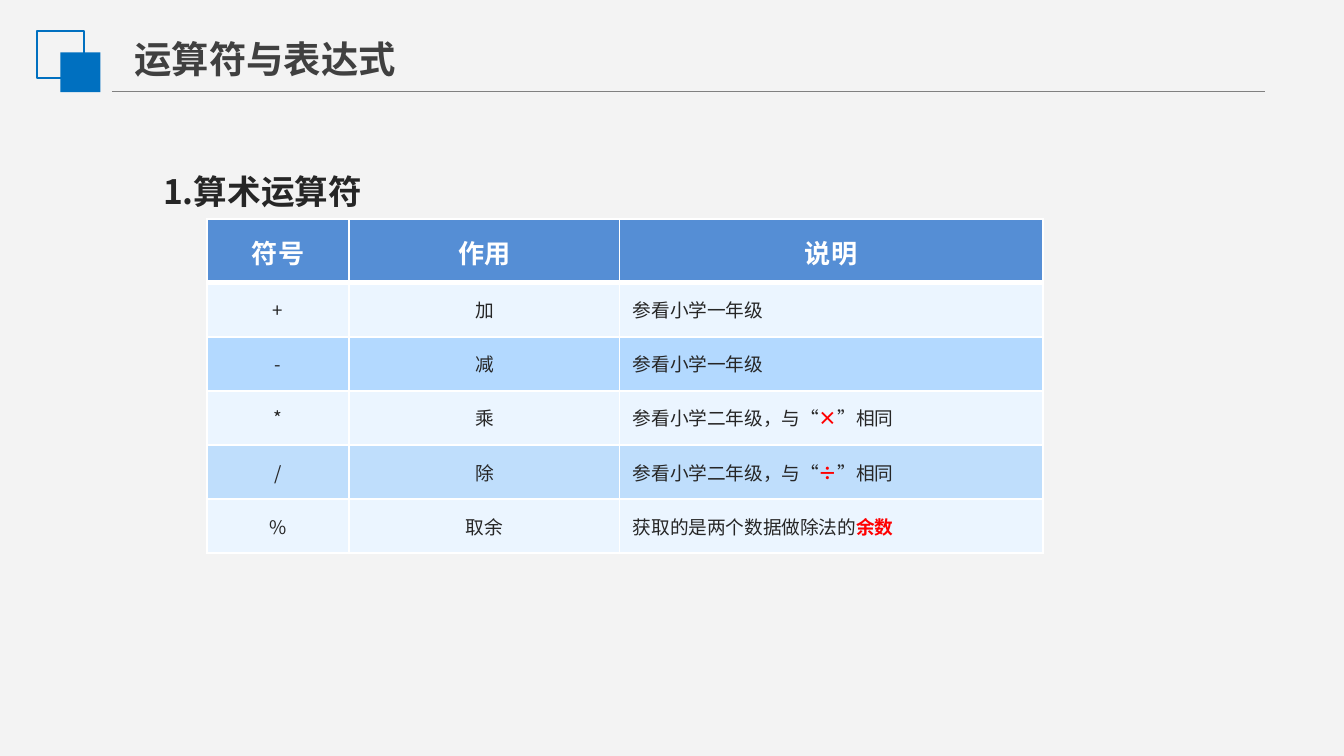
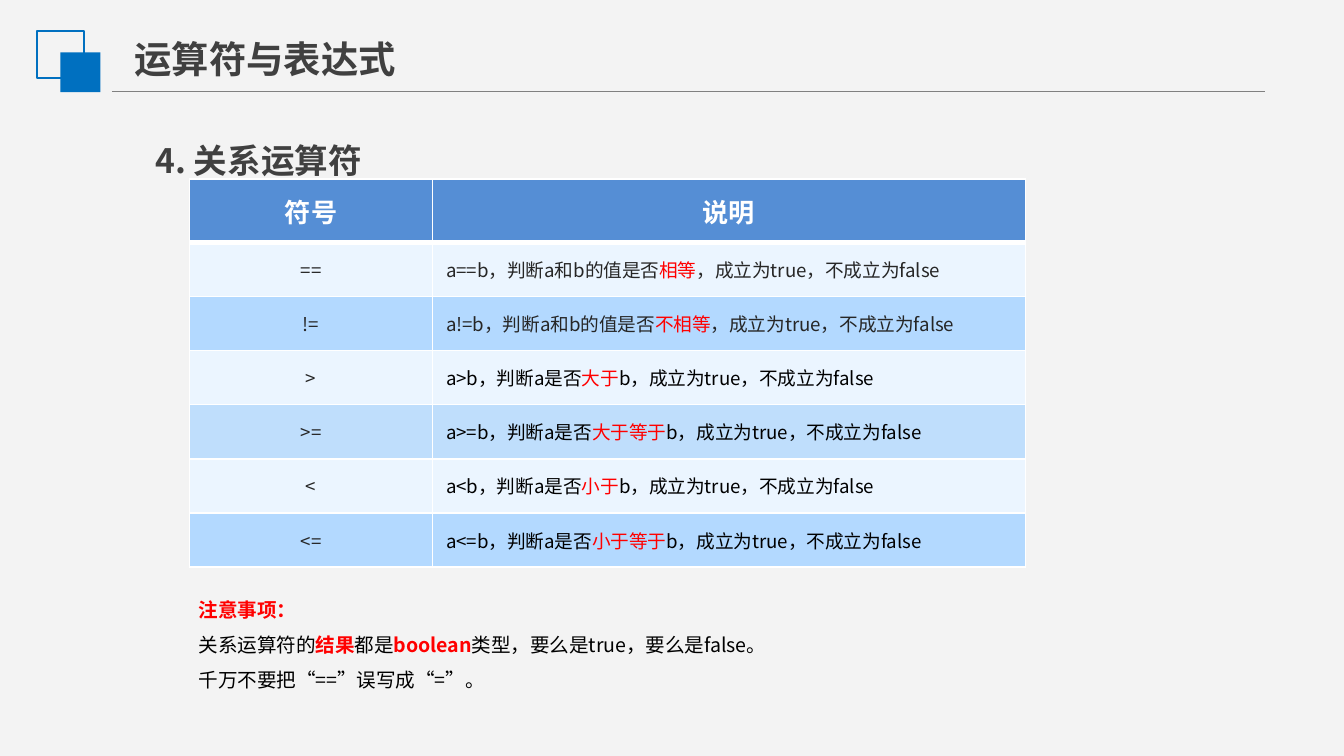
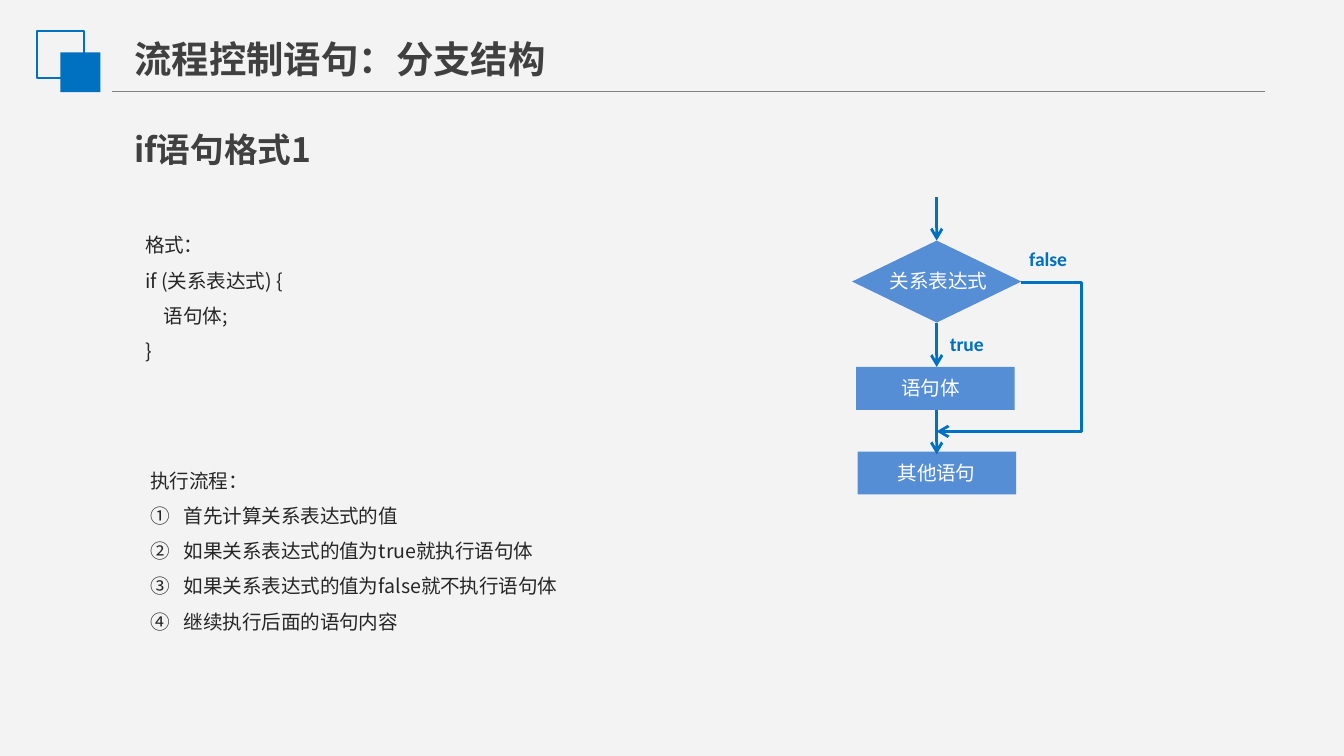
from lxml.etree import SubElement
from pptx import Presentation
from pptx.dml.color import RGBColor
from pptx.enum.shapes import MSO_CONNECTOR, MSO_SHAPE
from pptx.enum.text import MSO_ANCHOR, MSO_AUTO_SIZE, PP_ALIGN
from pptx.oxml.ns import qn
from pptx.util import Pt

PAPER = "F3F3F3"
BLUE = "0070C0"
SOFT_BLUE = "558ED5"
BANDS = ("B3D9FF", "EBF5FF")
WHITE = "FFFFFF"
BLACK = "000000"
GRAY = "808080"
TITLE_INK = "404040"
INK = "262626"
RED = "FF0000"
CJK = "Noto Sans CJK SC"
LATIN = "Calibri"


def color(value):
    return RGBColor.from_string(value)


def points(*lengths):
    return [Pt(length) for length in lengths]


def add_span(para, text, size, ink, bold=False, font=CJK):
    span = para.add_run()
    span.text = text
    span.font.size = Pt(size)
    span.font.bold = bold
    span.font.color.rgb = color(ink)
    span.font.name = font
    SubElement(span.font._element, qn("a:ea")).set("typeface", font)


def add_marked(para, text, size, ink, bold=False, mark_bold=True, font=CJK):
    for index, piece in enumerate(text.split("|")):
        if piece and index % 2:
            add_span(para, piece, size, RED, mark_bold, font)
        elif piece:
            add_span(para, piece, size, ink, bold, font)


def add_text(slide, place, lines, size, ink, bold=False, font=CJK,
             spacing=None, wrap=True, align=PP_ALIGN.LEFT):
    box = slide.shapes.add_textbox(*points(*place))
    frame = box.text_frame
    frame.word_wrap = wrap
    frame.auto_size = MSO_AUTO_SIZE.SHAPE_TO_FIT_TEXT
    for index, line in enumerate(lines):
        para = frame.add_paragraph() if index else frame.paragraphs[0]
        para.alignment = align
        if spacing:
            para.line_spacing = spacing
        add_marked(para, line, size, ink, bold, font=font)
    return frame.paragraphs


def indent(para, left, first=0):
    properties = para._p.get_or_add_pPr()
    properties.set("marL", str(Pt(left)))
    properties.set("indent", str(Pt(first)))
    return properties


def number(paras):
    for para in paras:
        properties = indent(para, 18, -18)
        SubElement(properties, qn("a:buAutoNum")).set("type", "circleNumDbPlain")


def add_block(slide, kind, place, fill=None, line=None):
    block = slide.shapes.add_shape(kind, *points(*place))
    block.shadow.inherit = False
    if fill:
        block.fill.solid()
        block.fill.fore_color.rgb = color(fill)
    else:
        block.fill.background()
    if line:
        block.line.color.rgb = color(line)
        block.line.width = Pt(1)
    else:
        block.line.fill.background()
    return block


def add_line(slide, start, end, ink=BLUE, width=1.5, arrow=True,
             kind=MSO_CONNECTOR.STRAIGHT):
    line = slide.shapes.add_connector(kind, *points(*start, *end))
    line.line.color.rgb = color(ink)
    line.line.width = Pt(width)
    if arrow:
        SubElement(line.line._get_or_add_ln(), qn("a:tailEnd")).set("type", "arrow")
    SubElement(line.element.spPr, qn("a:effectLst"))
    return line


def add_bypass(slide, start, end, reach):
    line = add_line(slide, start, end, kind=MSO_CONNECTOR.ELBOW)
    geometry = line.element.spPr.find(qn("a:prstGeom"))
    geometry.set("prst", "bentConnector4")
    guides = geometry.find(qn("a:avLst"))
    if guides is None:
        guides = SubElement(geometry, qn("a:avLst"))
    turn = round(100000 * (start[0] - reach) / (start[0] - end[0]))
    for name, value in (("adj1", turn), ("adj2", 100000)):
        guide = SubElement(guides, qn("a:gd"))
        guide.set("name", name)
        guide.set("fmla", f"val {value}")


def border_cell(cell, top, bottom):
    properties = cell._tc.get_or_add_tcPr()
    for side, width in (("L", 1), ("R", 1), ("T", top), ("B", bottom)):
        line = SubElement(properties, qn(f"a:ln{side}"))
        line.set("w", str(Pt(width)))
        fill = SubElement(line, qn("a:solidFill"))
        SubElement(fill, qn("a:srgbClr")).set("val", WHITE)


def fill_cell(cell, fill, opacity=100):
    cell.fill.solid()
    cell.fill.fore_color.rgb = color(fill)
    if opacity < 100:
        tint = cell._tc.tcPr.find(qn("a:solidFill")).find(qn("a:srgbClr"))
        SubElement(tint, qn("a:alpha")).set("val", str(opacity * 1000))


def add_grid(slide, left, top, widths, rows, mark_bold, black_from=99):
    heights = [34] + [29] * (len(rows) - 1)
    frame = slide.shapes.add_table(len(rows), len(widths),
                                   *points(left, top, sum(widths), sum(heights)))
    table = frame.table
    table.horz_banding = False
    for column, width in zip(table.columns, widths):
        column.width = Pt(width)
    for r, texts in enumerate(rows):
        table.rows[r].height = Pt(heights[r])
        for c, text in enumerate(texts):
            cell = table.cell(r, c)
            border_cell(cell, 3 if r == 1 else 1, 3 if r == 0 else 1)
            para = cell.text_frame.paragraphs[0]
            last = c == len(widths) - 1
            para.alignment = PP_ALIGN.LEFT if r and last else PP_ALIGN.CENTER
            if r == 0:
                fill_cell(cell, SOFT_BLUE)
                para.line_spacing = Pt(24)
                add_span(para, text, 14, WHITE, True)
            else:
                fill_cell(cell, BANDS[r % 2], 80 if r == 4 else 100)
                cell.vertical_anchor = MSO_ANCHOR.MIDDLE
                ink = BLACK if last and r >= black_from else INK
                add_marked(para, text, 10, ink, mark_bold=mark_bold)


def decorate_layout(layout, slide):
    layout.background.fill.solid()
    layout.background.fill.fore_color.rgb = color(PAPER)
    for holder in list(layout.placeholders):
        if holder.placeholder_format.idx:
            layout.shapes.element.remove(holder.element)
    parts = (
        add_line(slide, (60, 49), (677.5, 49), GRAY, 0.75, False),
        add_block(slide, MSO_SHAPE.RECTANGLE, (20, 16.4, 25.2, 25.2), line=BLUE),
        add_block(slide, MSO_SHAPE.RECTANGLE, (32.4, 28, 21.4, 21.4), BLUE),
    )
    for part in parts:
        layout.shapes.element.append(part.element)


def add_page(deck, title, width):
    page = deck.slides.add_slide(deck.slide_layouts[5])
    holder = page.shapes.title
    holder.left, holder.top, holder.width, holder.height = points(64.8, 15.8, width, 31.7)
    frame = holder.text_frame
    frame.word_wrap = False
    frame.auto_size = MSO_AUTO_SIZE.SHAPE_TO_FIT_TEXT
    frame.vertical_anchor = MSO_ANCHOR.TOP
    para = frame.paragraphs[0]
    para.alignment = PP_ALIGN.LEFT
    add_span(para, title, 20, TITLE_INK, True)
    return page


def build_arithmetic(deck):
    page = add_page(deck, "运算符与表达式", 156)
    decorate_layout(deck.slide_layouts[5], page)
    add_text(page, (80.3, 66.2, 221.4, 44.6), ["1.算术运算符"], 18, INK, True, spacing=2)
    rows = (
        ("符号", "作用", "说明"),
        ("+", "加", "参看小学一年级"),
        ("-", "减", "参看小学一年级"),
        ("*", "乘", "参看小学二年级，与“|×|”相同"),
        ("/", "除", "参看小学二年级，与“|÷|”相同"),
        ("%", "取余", "获取的是两个数据做除法的|余数"),
    )
    add_grid(page, 110.9, 117.4, (76.2, 144.8, 226.8), rows, True)


def build_relational(deck):
    page = add_page(deck, "运算符与表达式", 156)
    add_text(page, (76.3, 49.7, 225.4, 51.1), ["4. 关系运算符"], 18, TITLE_INK, True, spacing=2)
    result = "，成立为true，不成立为false"
    rows = [("符号", "说明")]
    for sign, meaning in (("==", "相等"), ("!=", "不相等")):
        rows.append((sign, f"a{sign}b，判断a和b的值是否|{meaning}|{result}"))
    for sign, meaning in ((">", "大于"), (">=", "大于等于"), ("<", "小于"), ("<=", "小于等于")):
        rows.append((sign, f"a{sign}b，判断a是否|{meaning}|b{result}"))
    add_grid(page, 101.5, 95.8, (130.3, 317.5), rows, False, 3)
    notes = (
        "|注意事项：",
        "关系运算符的|结果|都是|boolean|类型，要么是true，要么是false。",
        "千万不要把“==”误写成“=”。",
    )
    add_text(page, (99.4, 310.3, 532.8, 64.8), notes, 10.5, BLACK, spacing=1.5)


def add_flowchart(page):
    axis = 501.8
    add_block(page, MSO_SHAPE.FLOWCHART_DECISION, (456.5, 128.9, 90.7, 43.9), SOFT_BLUE)
    add_text(page, (468, 140.4, 69.8, 20.2), ["关系表达式"], 10.5, WHITE,
             wrap=False, align=PP_ALIGN.CENTER)
    for text, left, top, text_left in (("语句体", 458.6, 196.6, 475.9),
                                       ("其他语句", 459.4, 241.9, 473.8)):
        add_block(page, MSO_SHAPE.RECTANGLE, (left, top, 85, 23), SOFT_BLUE)
        add_text(page, (text_left, top + 1.4, 62.6, 20.2), [text], 10.5, WHITE)
    for start, end in ((105.8, 128.9), (219.6, 243.4), (172.8, 196.6)):
        add_line(page, (axis, start), (axis, end))
    add_bypass(page, (547.2, 151.2), (axis, 231.1), 579.6)
    for text, left, top in (("true", axis, 174.2), ("false", 544.3, 128.9)):
        add_text(page, (left, top, 47.5, 20.2), [text], 10.5, BLUE, True, LATIN)


def build_branch(deck):
    page = add_page(deck, "流程控制语句：分支结构", 237)
    code = add_text(page, (70.6, 115.2, 241.2, 83.5),
                    ("格式：", "if (关系表达式) {", "语句体;", "}"), 10.5, INK, spacing=1.5)
    indent(code[2], 10)
    steps = (
        "执行流程：",
        "首先计算关系表达式的值",
        "如果关系表达式的值为true就执行语句体",
        "如果关系表达式的值为false就不执行语句体",
        "继续执行后面的语句内容",
    )
    number(add_text(page, (73.4, 241.2, 385.2, 103), steps, 10.5, INK, spacing=1.5)[1:])
    add_flowchart(page)
    add_text(page, (64.8, 65.5, 226.8, 28.8), ["if语句格式1"], 18, TITLE_INK, True)


def main():
    deck = Presentation()
    deck.slide_width, deck.slide_height = points(720, 405)
    build_arithmetic(deck)
    build_relational(deck)
    build_branch(deck)
    deck.save("out.pptx")


main()
